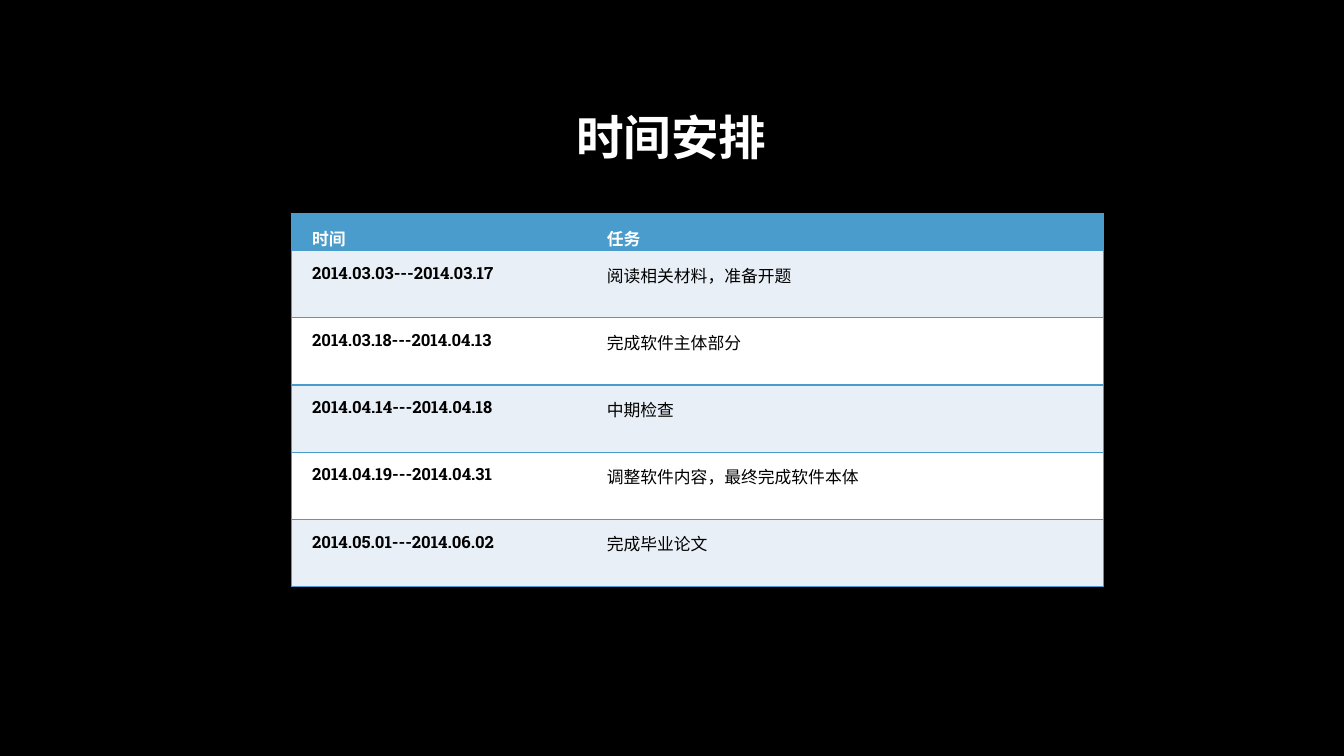
from lxml import etree
from pptx import Presentation
from pptx.dml.color import RGBColor
from pptx.enum.text import MSO_ANCHOR, PP_ALIGN
from pptx.oxml.ns import qn
from pptx.util import Pt

BLACK = RGBColor(0x00, 0x00, 0x00)
WHITE = RGBColor(0xFF, 0xFF, 0xFF)
BLUE = RGBColor(0x4A, 0x9C, 0xCC)
PALE = RGBColor(0xE9, 0xEF, 0xF6)
CENTER, JUSTIFY = PP_ALIGN.CENTER, PP_ALIGN.JUSTIFY
MIDDLE, TOP = MSO_ANCHOR.MIDDLE, MSO_ANCHOR.TOP
FONT = "Roboto Slab"

PLAN = [
    ("时间", "任务"),
    ("2014.03.03---2014.03.17", "阅读相关材料，准备开题"),
    ("2014.03.18---2014.04.13", "完成软件主体部分"),
    ("2014.04.14---2014.04.18", "中期检查"),
    ("2014.04.19---2014.04.31", "调整软件内容，最终完成软件本体"),
    ("2014.05.01---2014.06.02", "完成毕业论文"),
]
COLS = [210.5, 370]
HEAD, ROW = 26.5, 48


def write(frame, text, size, color, bold, align, space):
    par = frame.paragraphs[0]
    par.alignment, par.line_spacing = align, space
    run = par.add_run()
    run.text = text
    look = {"name": FONT, "size": Pt(size), "bold": bold}
    for key, value in look.items():
        setattr(run.font, key, value)
    run.font.color.rgb = color
    return par


def edge(cell, side, color):
    line = etree.SubElement(cell._tc.get_or_add_tcPr(), qn("a:ln" + side), w=str(Pt(1)))
    if color is None:
        etree.SubElement(line, qn("a:noFill"))
    else:
        fill = etree.SubElement(line, qn("a:solidFill"))
        etree.SubElement(fill, qn("a:srgbClr"), val=str(color))


# Slide
deck = Presentation()
deck.slide_width, deck.slide_height = Pt(960), Pt(540)
slide = deck.slides.add_slide(deck.slide_layouts[6])
slide.background.fill.solid()
slide.background.fill.fore_color.rgb = BLACK

# Title
title = slide.shapes.add_textbox(Pt(72), Pt(48), Pt(815), Pt(104.5)).text_frame
title.word_wrap = True
title.vertical_anchor = MIDDLE
write(title, "时间安排", 34, WHITE, True, CENTER, 0.9)

# Schedule grid
high = HEAD + ROW * (len(PLAN) - 1)
table = slide.shapes.add_table(
    len(PLAN), len(COLS), Pt(208), Pt(152.5), Pt(sum(COLS)), Pt(high)).table
table.first_row = table.horz_banding = False
for col, width in zip(table.columns, COLS):
    col.width = Pt(width)

# Schedule cells
cell_look = {"margin_left": Pt(5), "margin_right": Pt(5),
             "margin_top": 0, "margin_bottom": 0, "vertical_anchor": TOP}
for r, texts in enumerate(PLAN):
    table.rows[r].height = Pt(ROW if r else HEAD)
    back = BLUE if r == 0 else PALE if r % 2 else WHITE
    for c, text in enumerate(texts):
        cell = table.cell(r, c)
        for key, value in cell_look.items():
            setattr(cell, key, value)
        color = BLACK if r else WHITE
        par = write(cell.text_frame, text, 12, color, r == 0 or c == 0, JUSTIFY, 1.5)
        par._p.get_or_add_pPr().set("indent", str(Pt(10)))
        # Blue outline and row rules, no rule between the columns
        edge(cell, "L", None if c else BLUE)
        edge(cell, "R", BLUE if c else None)
        edge(cell, "T", BLUE)
        edge(cell, "B", BLUE)
        cell.fill.solid()
        cell.fill.fore_color.rgb = back

deck.save("out.pptx")
